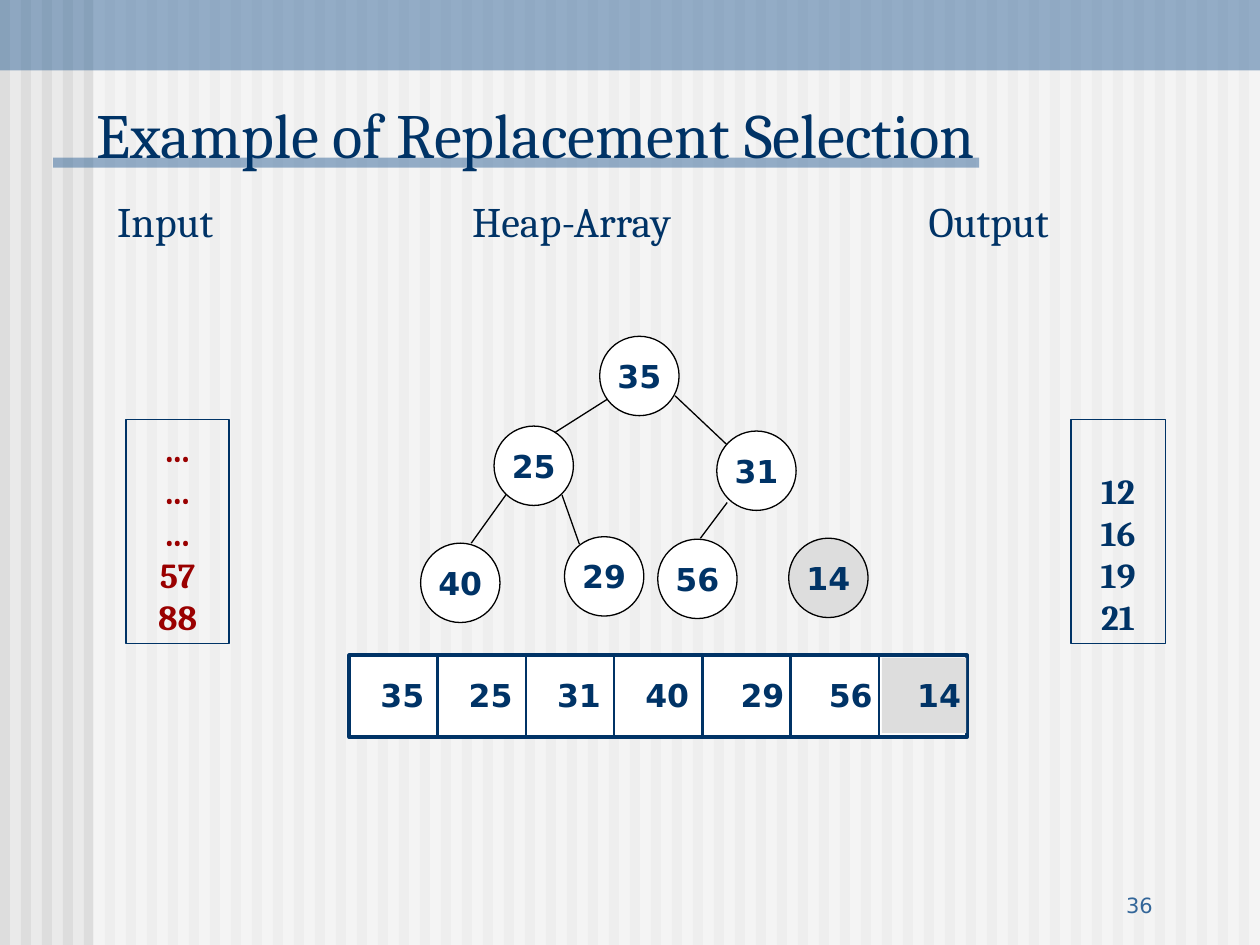
from lxml import etree
from pptx import Presentation
from pptx import util as u
from pptx.dml.color import RGBColor
from pptx.enum import shapes, text
from pptx.oxml import ns

NAVY = RGBColor(0x00, 0x33, 0x66)
BLUE = RGBColor(0x33, 0x66, 0x99)
RED = RGBColor(0x9A, 0x00, 0x00)
BLACK = RGBColor(0x00, 0x00, 0x00)
WHITE = RGBColor(0xFF, 0xFF, 0xFF)
SILVER = RGBColor(0xDD, 0xDD, 0xDD)
PAPER = RGBColor(0xEA, 0xEA, 0xEA)
SERIF, SANS = "Cambria", "DejaVu Sans"
LEFT, CENTER, RIGHT = text.PP_ALIGN.LEFT, text.PP_ALIGN.CENTER, text.PP_ALIGN.RIGHT
TOP, MIDDLE, BOTTOM = text.MSO_ANCHOR.TOP, text.MSO_ANCHOR.MIDDLE, text.MSO_ANCHOR.BOTTOM
RECT, OVAL = shapes.MSO_SHAPE.RECTANGLE, shapes.MSO_SHAPE.OVAL


class HeapSlide:
    """Draws styled elements on one slide, with all lengths in centimetres."""

    def __init__(self, deck):
        self.slide = deck.slides.add_slide(deck.slide_layouts[0])
        self.shapes = self.slide.shapes
        self.slide.background.fill.solid()
        self.slide.background.fill.fore_color.rgb = PAPER
        subtitle = self.slide.placeholders[1].element
        subtitle.getparent().remove(subtitle)

    def set_lines(self, holder, lines, size, font, color=NAVY, bold=False,
                  align=LEFT, anchor=TOP, tabs=()):
        frame = holder.text_frame
        frame.word_wrap = True
        frame.auto_size = text.MSO_AUTO_SIZE.NONE
        frame.vertical_anchor = anchor
        for index, line in enumerate(lines):
            paragraph = frame.add_paragraph() if index else frame.paragraphs[0]
            paragraph.alignment = align
            if tabs:
                stops = etree.SubElement(paragraph._p.get_or_add_pPr(), ns.qn("a:tabLst"))
                for stop in tabs:
                    etree.SubElement(stops, ns.qn("a:tab"), pos=str(u.Cm(stop)), algn="l")
            run = paragraph.add_run()
            run.text = line
            run.font.size = u.Pt(size)
            run.font.name = font
            run.font.bold = bold
            run.font.color.rgb = color

    def title(self, wording, *box):
        heading = self.shapes.title
        heading.left, heading.top, heading.width, heading.height = map(u.Cm, box)
        self.set_lines(heading, [wording], 36, SERIF, anchor=BOTTOM)
        heading.element.getparent().append(heading.element)

    def label(self, wording, *box, **style):
        self.set_lines(self.shapes.add_textbox(*map(u.Cm, box)), [wording], **style)

    def block(self, kind, *box, fill=None, line=None, weight=0.75, opacity=None):
        block = self.shapes.add_shape(kind, *map(u.Cm, box))
        block.shadow.inherit = False
        if fill is None:
            block.fill.background()
        else:
            block.fill.solid()
            block.fill.fore_color.rgb = fill
        if opacity:
            for tint in block.element.spPr.iter(ns.qn("a:srgbClr")):
                etree.SubElement(tint, ns.qn("a:alpha"), val=str(opacity * 1000))
        if line is None:
            block.line.fill.background()
        else:
            block.line.color.rgb = line
            block.line.width = u.Pt(weight)
        return block

    def node(self, key, left, top, fill=WHITE):
        circle = self.block(OVAL, left, top, 1.6, 1.6, fill=fill, line=BLACK)
        frame = circle.text_frame
        frame.margin_left = frame.margin_right = 0
        self.set_lines(circle, [key], 18, SANS, bold=True, align=CENTER, anchor=MIDDLE)

    def column(self, values, left, width, color):
        box = self.block(RECT, left, 8.46, width, 4.52, line=NAVY)
        self.set_lines(box, values, 20, SERIF, color, bold=True, align=CENTER, anchor=BOTTOM)

    def line(self, *ends, color=BLACK, weight=0.75):
        edge = self.shapes.add_connector(shapes.MSO_CONNECTOR.STRAIGHT, *map(u.Cm, ends))
        edge.line.color.rgb = color
        edge.line.width = u.Pt(weight)
        etree.SubElement(edge.element.spPr, ns.qn("a:effectLst"))


def main():
    deck = Presentation()
    deck.slide_width, deck.slide_height = u.Cm(25.4), u.Cm(19.05)
    page = HeapSlide(deck)

    for stripe in range(60):
        page.block(RECT, stripe * 25.4 / 60, 0, 0.2, 19.05, fill=SILVER)
    page.block(RECT, 1.88, 0, 23.52, 19.05, fill=WHITE, opacity=50)
    page.block(RECT, 0, 0, 25.4, 1.42, fill=BLUE, opacity=50)
    page.block(RECT, 1.07, 3.18, 18.67, 0.2, fill=BLUE, opacity=50)

    page.label("36", 18.21, 17.35, 5.28, 1.27, size=12, font=SANS, color=BLUE,
               align=RIGHT, anchor=BOTTOM)
    page.title("Example of Replacement Selection", 1.7, 1.47, 23.7, 2.11)
    page.label("Input\tHeap-Array\tOutput", 2.11, 3.81, 23.29, 1.27,
               size=24, font=SERIF, tabs=(7.16, 16.36))

    array_left, array_top, array_height, cell = 7.04, 13.21, 1.65, 1.78
    page.block(RECT, array_left, array_top, 7 * cell, array_height,
               fill=WHITE, line=NAVY, weight=2)
    for index in range(1, 7):
        divider = array_left + index * cell
        page.line(divider, array_top, divider, array_top + array_height,
                  color=NAVY, weight=1.5)

    for edge in [(12.24, 8.05, 11.2, 8.71), (13.61, 7.98, 14.66, 8.97),
                 (10.21, 9.96, 9.5, 10.95), (11.33, 9.98, 11.68, 10.97),
                 (14.66, 10.13, 14.12, 10.85)]:
        page.line(*edge)
    for key, left, top in [("35", 12.09, 6.78), ("25", 9.96, 8.59), ("31", 14.45, 8.69),
                           ("40", 8.48, 10.95), ("29", 11.38, 10.82), ("56", 13.26, 10.87)]:
        page.node(key, left, top)
    page.node("14", 15.9, 10.85, fill=SILVER)

    page.column(["...", "...", "...", "57", "88"], 2.54, 2.08, RED)
    page.column(["12", "16", "19", "21"], 21.59, 1.9, NAVY)

    page.block(RECT, 17.78, 13.26, 1.7, 1.52, fill=SILVER)
    page.label("35\t25\t31\t40\t29\t56\t14", 7.42, 13.51, 12.75, 1.02,
               size=18, font=SANS, bold=True,
               tabs=[index * cell + (0.14 if index > 3 else 0) for index in range(1, 7)])

    deck.save("out.pptx")


if __name__ == "__main__":
    main()
